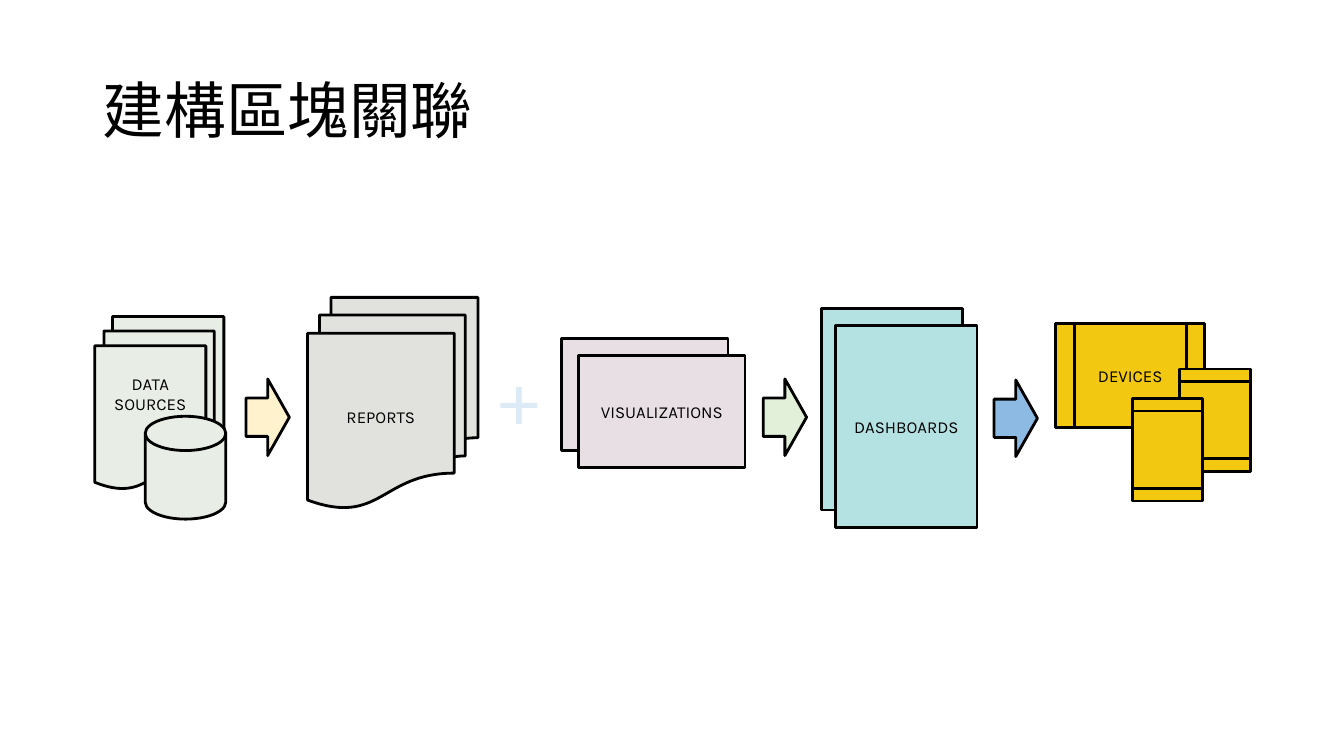
from pptx import Presentation
from pptx.dml.color import RGBColor
from pptx.enum.shapes import MSO_SHAPE as Shape
from pptx.enum.text import MSO_ANCHOR as Anchor, MSO_AUTO_SIZE as AutoSize, PP_ALIGN as Align
from pptx.util import Inches, Pt

TITLE = "建構區塊關聯"

BLOCKS = [
    (Shape.FLOWCHART_MULTIDOCUMENT, "sources", "DATA SOURCES", (0.94, 3.14), (1.28, 1.71), 0),
    (Shape.FLOWCHART_MAGNETIC_DISK, "sources", "", (1.44, 4.13), (0.8, 1.02), 0),
    (Shape.FLOWCHART_MULTIDOCUMENT, "reports", "REPORTS", (3.05, 2.95), (1.69, 2.09), 0),
    (Shape.RECTANGLE, "visuals", "", (5.57, 3.36), (1.65, 1.11), 0),
    (Shape.RECTANGLE, "visuals", "VISUALIZATIONS", (5.74, 3.53), (1.65, 1.11), 0),
    (Shape.FLOWCHART_PREDEFINED_PROCESS, "devices", "DEVICES", (10.47, 3.21), (1.48, 1.03), 0),
    (Shape.FLOWCHART_PREDEFINED_PROCESS, "devices", "", (11.54, 3.82), (1.02, 0.7), 90),
    (Shape.FLOWCHART_PREDEFINED_PROCESS, "devices", "", (11.07, 4.11), (1.02, 0.7), 90),
    (Shape.RECTANGLE, "dashboards", "", (8.15, 3.06), (1.4, 2), 0),
    (Shape.RECTANGLE, "dashboards", "DASHBOARDS", (8.29, 3.23), (1.4, 2), 0),
]
ARROWS = [("to_reports", 2.44, 3.76), ("to_dashboards", 7.57, 3.76), ("to_devices", 9.86, 3.77)]
ARROW_SIZE = (0.43, 0.76)

THEME = {
    "font": "Karla",
    "sizes": {"title": 44, "label": 12, "plus": 54},
    "line_width": 2,
    "colors": {
        "ink": "000000", "paper": "FFFFFF", "plus": "DDEBF7",
        "sources": "E8EEE5", "reports": "E1E2DD", "visuals": "E7DFE4",
        "dashboards": "B4E1E2", "devices": "F2C811",
        "to_reports": "FFF2CC", "to_dashboards": "E2F0D9", "to_devices": "8CBAE2",
    },
}


def color(name):
    return RGBColor.from_string(THEME["colors"][name])


def write(sp, text, size, ink="ink", align=Align.CENTER):
    tf = sp.text_frame
    tf.text = text
    tf.word_wrap = True
    tf.vertical_anchor = Anchor.MIDDLE
    p = tf.paragraphs[0]
    p.alignment = align
    r = p.runs[0]
    r.font.name = THEME["font"]
    r.font.size = Pt(THEME["sizes"][size])
    r.font.color.rgb = color(ink)
    return tf


def add_block(slide, kind, fill, at, size, line=True):
    sp = slide.shapes.add_shape(kind, *map(Inches, at + size))
    sp.shadow.inherit = False
    sp.fill.solid()
    sp.fill.fore_color.rgb = color(fill)
    if line:
        sp.line.color.rgb = color("ink")
        sp.line.width = Pt(THEME["line_width"])
    else:
        sp.line.fill.background()
    return sp


def main():
    prs = Presentation()
    prs.slide_width, prs.slide_height = Inches(13.33), Inches(7.5)
    slide = prs.slides.add_slide(prs.slide_layouts[5])

    title = slide.shapes.title
    title.left, title.top, title.width, title.height = map(Inches, (0.92, 0.4, 11.5, 1.45))
    tf = write(title, TITLE, "title", align=Align.LEFT)
    tf.auto_size = AutoSize.NONE
    tf.paragraphs[0].line_spacing = 0.9

    for kind, fill, label, at, size, rotation in BLOCKS:
        sp = add_block(slide, kind, fill, at, size)
        sp.rotation = rotation
        if label:
            tf = write(sp, label, "label")
            if fill == "sources":
                tf.margin_bottom = Inches(0.45)

    for fill, left, top in ARROWS:
        add_block(slide, Shape.RIGHT_ARROW, fill, (left, top), ARROW_SIZE)

    plus = add_block(slide, Shape.RECTANGLE, "paper", (4.84, 3.41), (0.62, 1), line=False)
    tf = write(plus, "+", "plus", ink="plus")
    tf.word_wrap = False
    tf.vertical_anchor = Anchor.TOP
    tf.auto_size = AutoSize.SHAPE_TO_FIT_TEXT

    prs.save("out.pptx")


if __name__ == "__main__":
    main()
